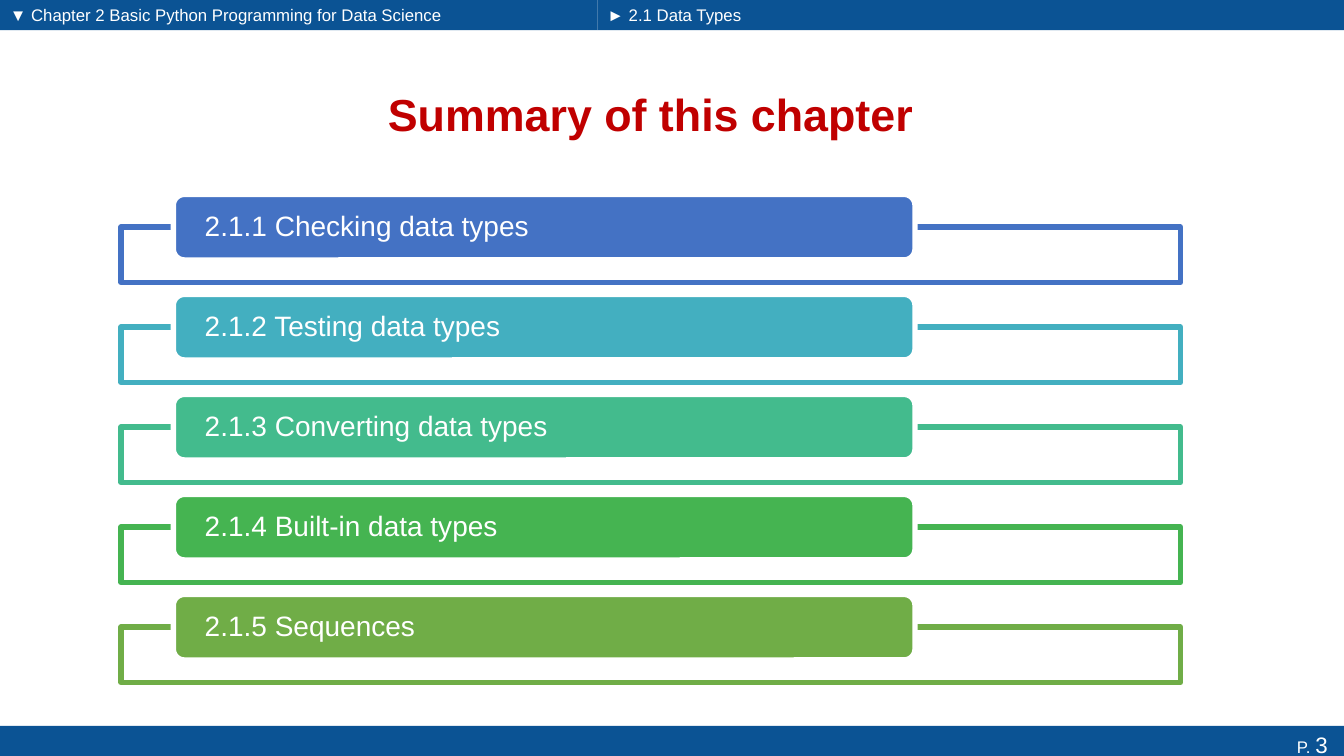
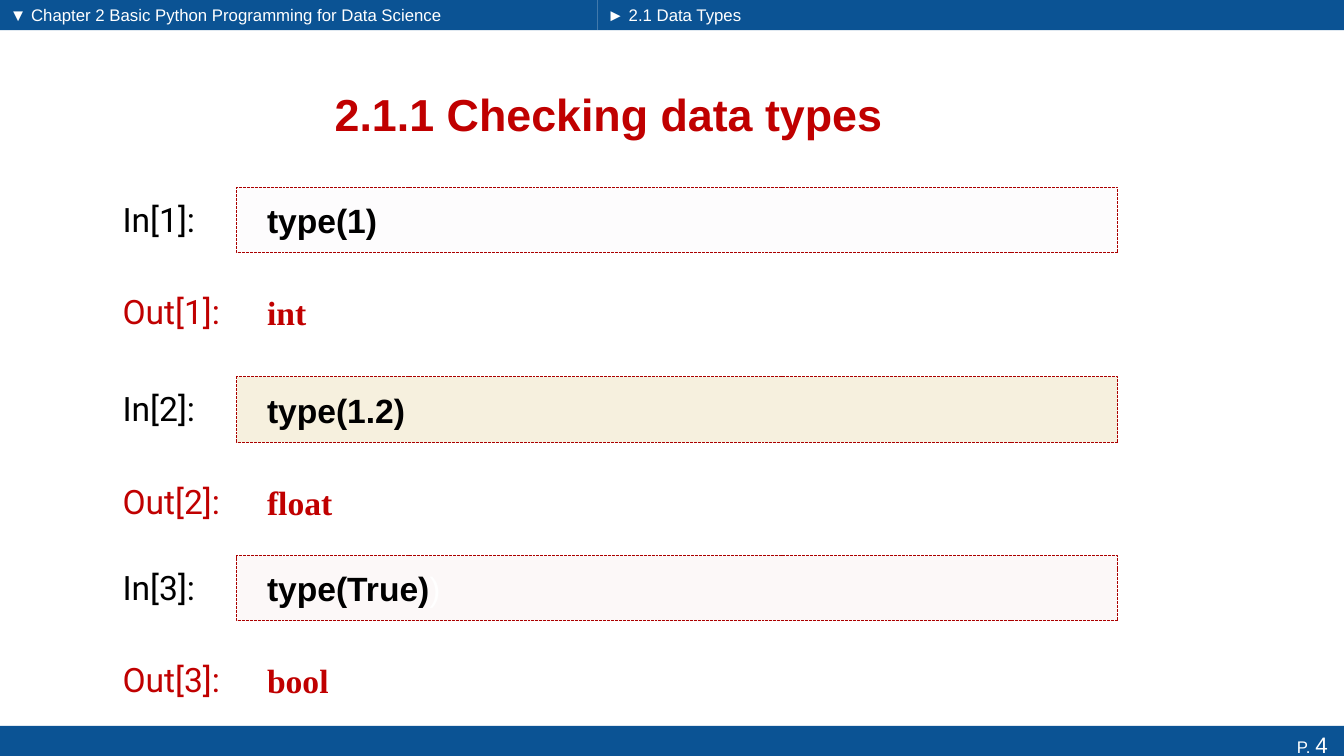
from lxml import etree
from pptx import Presentation
from pptx.dml.color import RGBColor
from pptx.enum import dml, shapes, text
from pptx.oxml.ns import qn
from pptx.util import Cm, Pt

BLUE = RGBColor(0x0B, 0x53, 0x94)
RED = RGBColor(0xC0, 0x00, 0x00)
DARK_RED = RGBColor(0xAB, 0x00, 0x00)
BLACK = RGBColor(0x00, 0x00, 0x00)
WHITE = RGBColor(0xFF, 0xFF, 0xFF)
INDIGO = RGBColor(0x44, 0x72, 0xC4)
CYAN = RGBColor(0x43, 0xAF, 0xC0)
TEAL = RGBColor(0x43, 0xBB, 0x8D)
GREEN = RGBColor(0x45, 0xB4, 0x51)
OLIVE = RGBColor(0x70, 0xAD, 0x47)
LILAC = RGBColor(0xF1, 0xEE, 0xF4)
OCHRE = RGBColor(0xBF, 0x90, 0x00)
ROSE = RGBColor(0xED, 0xCD, 0xCB)

SANS, LABEL, SERIF = "Arial", "Roboto", "Times New Roman"
LEFT, CENTER, RIGHT = text.PP_ALIGN.LEFT, text.PP_ALIGN.CENTER, text.PP_ALIGN.RIGHT
RECT = shapes.MSO_SHAPE.RECTANGLE
ROUNDED = shapes.MSO_SHAPE.ROUNDED_RECTANGLE
WIDTH, HEIGHT = 33.87, 19.05
SPLIT, BAND = 15.06, 0.76
CODE_INSETS = (0.76, 0.13, 0.25, 0.13)


class Deck:
    """Hold the shared style and the current slide, and draw each kind of element."""

    def __init__(self):
        self.prs = Presentation()
        self.prs.slide_width, self.prs.slide_height = Cm(WIDTH), Cm(HEIGHT)

    def slide(self, title, left, width, page):
        self.s = self.prs.slides.add_slide(self.prs.slide_layouts[6])
        self.band(0, 0, SPLIT, BAND, "▼ Chapter 2 Basic Python Programming for Data Science")
        self.band(SPLIT, 0, WIDTH - SPLIT, BAND, "► 2.1 Data Types")
        footer = self.band(0, 18.29, WIDTH, 0.94, "P. ", align=RIGHT, insets=(0.25, 0, 0.41, 0))
        self.add_run(footer, str(page), 16, WHITE)
        self.text((left, 1.73, width, 2.29), title, 32, RED, bold=True, align=CENTER)

    def band(self, x, y, w, h, words, align=LEFT, insets=(0.25, 0, 0.25, 0)):
        sp = self.shape(RECT, (x, y, w, h), BLUE)
        return self.set_text(sp, words, 12, WHITE, align=align, insets=insets)

    def shape(self, kind, box, fill, line=None, weight=0.7):
        sp = self.s.shapes.add_shape(kind, *map(Cm, box))
        sp.shadow.inherit = False
        sp.fill.solid()
        sp.fill.fore_color.rgb = fill
        if line is None:
            sp.line.fill.background()
        else:
            sp.line.color.rgb = line
            sp.line.width = Pt(weight)
        return sp

    def text(self, box, words, size, color, **style):
        sp = self.s.shapes.add_textbox(*map(Cm, box))
        return self.set_text(sp, words, size, color, **style)

    def set_text(self, sp, words, size, color, font=SANS, bold=False, align=LEFT,
                 insets=(0.25, 0.13, 0.25, 0.13)):
        tf = sp.text_frame
        tf.word_wrap = True
        tf.vertical_anchor = text.MSO_ANCHOR.MIDDLE
        tf.margin_left, tf.margin_top, tf.margin_right, tf.margin_bottom = map(Cm, insets)
        p = tf.paragraphs[0]
        p.alignment = align
        self.add_run(p, words, size, color, font, bold)
        return p

    def add_run(self, p, words, size, color, font=SANS, bold=False):
        r = p.add_run()
        r.text = words
        r.font.name, r.font.size, r.font.bold = font, Pt(size), bold
        r.font.color.rgb = color

    def topic(self, y, words, color):
        self.shape(RECT, (3.05, y + 0.82, 26.7, 1.4), WHITE, color, 3.78)
        sp = self.shape(ROUNDED, (4.37, y, 18.69, 1.65), color, WHITE, 3.78)
        p = self.set_text(sp, words, 20, WHITE, insets=(0.71, 0, 0.71, 0))
        p.line_spacing = 0.9

    def label(self, y, words, color):
        self.text((2.84, y, 3.43, 1.27), words, 24, color, font=LABEL)

    def code(self, y, number, source, result, tint):
        self.label(y + 0.16, f"In[{number}]:", BLACK)
        sp = self.shape(RECT, (5.97, y, 22.2, 1.65), tint, DARK_RED)
        sp.line.dash_style = dml.MSO_LINE.SQUARE_DOT
        color = sp.element.spPr.find(qn("a:solidFill"))[0]
        etree.SubElement(color, qn("a:alpha")).set("val", "13000")
        p = self.set_text(sp, source, 24, BLACK, bold=True, insets=CODE_INSETS)
        y += 2.32
        self.label(y + 0.16, f"Out[{number}]:", RED)
        self.text((5.97, y, 22.2, 1.65), result, 24, RED, font=SERIF, bold=True,
                  insets=CODE_INSETS)
        return p


def main():
    deck = Deck()

    deck.slide("Summary of this chapter", 6.38, 20.04, 3)
    topics = [
        ("2.1.1 Checking data types", INDIGO),
        ("2.1.2 Testing data types", CYAN),
        ("2.1.3 Converting data types", TEAL),
        ("2.1.4 Built-in data types", GREEN),
        ("2.1.5 Sequences", OLIVE),
    ]
    for i, (words, color) in enumerate(topics):
        deck.topic(4.9 + 2.52 * i, words, color)

    deck.slide("2.1.1 Checking data types", 1.73, 27.23, 4)
    cells = [
        (4.72, "type(1)", "int", LILAC),
        (9.5, "type(1.2)", "float", OCHRE),
        (14, "type(True)", "bool", ROSE),
    ]
    for number, (y, source, result, tint) in enumerate(cells, 1):
        p = deck.code(y, number, source, result, tint)
    deck.add_run(p, ")", 24, WHITE)

    deck.prs.save("out.pptx")


if __name__ == "__main__":
    main()
